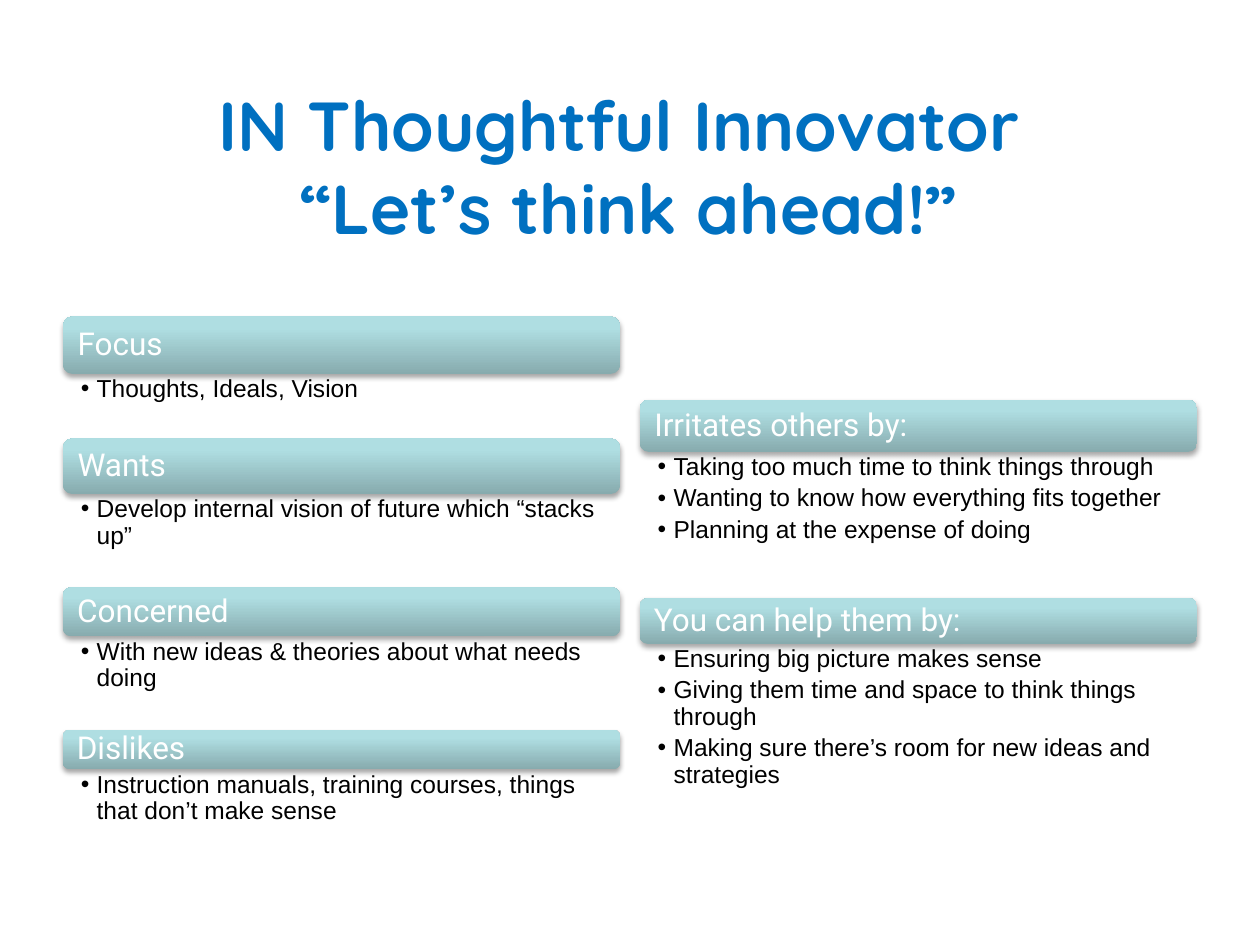
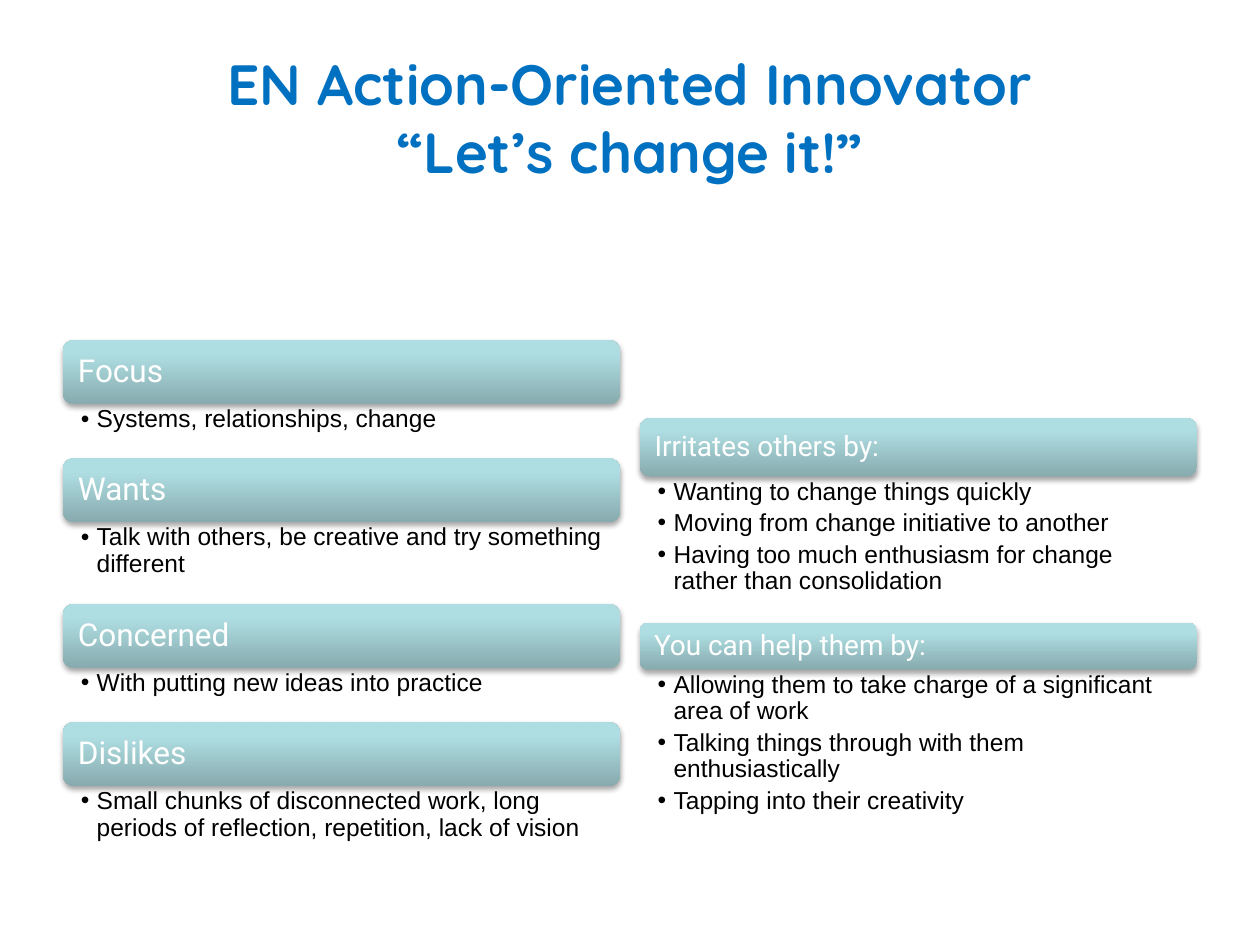
from dataclasses import dataclass
from lxml.etree import SubElement
from pptx import Presentation
from pptx.dml.color import RGBColor
from pptx.enum.shapes import MSO_SHAPE
from pptx.enum.text import MSO_ANCHOR, MSO_AUTO_SIZE, PP_ALIGN
from pptx.oxml.ns import qn
from pptx.util import Cm, Pt


@dataclass(frozen=True)
class Theme:
    blue: str = "0070C0"
    white: str = "FFFFFF"
    black: str = "000000"
    shade: tuple = ((0, "87ABAE"), (80, "AFDEE2"), (100, "AFE0E4"))
    title: str = "Quicksand"
    head: str = "Roboto"
    body: str = "Arial"
    small: float = 14


LEFT, RIGHT, WIDTH = 1.27, 12.9, 11.23
BAR = dict(margin_left=Cm(0.24), margin_right=Cm(0.24), margin_top=Cm(0.18),
           margin_bottom=Cm(0.18), vertical_anchor=MSO_ANCHOR.MIDDLE, word_wrap=True)
LIST = dict(margin_left=Cm(0.36), margin_right=Cm(0.28), margin_top=Cm(0.05),
            margin_bottom=Cm(0.05), vertical_anchor=MSO_ANCHOR.TOP, word_wrap=True)
TITLE = dict(vertical_anchor=MSO_ANCHOR.MIDDLE, word_wrap=True,
             auto_size=MSO_AUTO_SIZE.NONE)


def apply(item, form):
    for name, value in form.items():
        setattr(item, name, value)


def add(node, tag, **form):
    return SubElement(node, qn(tag), {key: str(value) for key, value in form.items()})


class Deck:
    def __init__(self, theme):
        self.theme = theme
        self.file = Presentation()
        apply(self.file, dict(slide_width=Cm(25.4), slide_height=Cm(19.05)))
        self.slide = None

    def style(self, para, face, size, tint, bold=False):
        for run in para.runs:
            apply(run.font, dict(name=face, size=Pt(size), bold=bold))
            run.font.color.rgb = RGBColor.from_string(tint)

    def title(self, text, box, size):
        self.slide = self.file.slides.add_slide(self.file.slide_layouts[5])
        shape = self.slide.shapes.title
        apply(shape, dict(zip(("left", "top", "width", "height"), map(Cm, box))))
        apply(shape.text_frame, TITLE)
        shape.text_frame.text = text
        para = shape.text_frame.paragraphs[0]
        para.alignment = PP_ALIGN.CENTER
        self.style(para, self.theme.title, size, self.theme.blue, True)

    def shade(self, shape):
        shape.fill.gradient()
        shape.fill.gradient_angle = 90
        stops = shape._element.spPr.find(qn("a:gradFill")).find(qn("a:gsLst"))
        for stop in list(stops):
            stops.remove(stop)
        for place, tint in self.theme.shade:
            add(add(stops, "a:gs", pos=place * 1000), "a:srgbClr", val=tint)
        shape.line.fill.background()
        shape.shadow.inherit = False
        glow = add(shape._element.spPr.find(qn("a:effectLst")), "a:outerShdw",
                   blurRad=Pt(3.1), dist=Pt(1.8), dir=5400000, rotWithShape=0)
        add(add(glow, "a:srgbClr", val=self.theme.black), "a:alpha", val=35000)

    def bar(self, group, text, left, top, height, size):
        shape = group.add_shape(MSO_SHAPE.ROUNDED_RECTANGLE, Cm(left), Cm(top),
                                Cm(WIDTH), Cm(height))
        self.shade(shape)
        apply(shape.text_frame, BAR)
        shape.text_frame.text = text
        para = shape.text_frame.paragraphs[0]
        apply(para, dict(alignment=PP_ALIGN.LEFT, line_spacing=0.9))
        self.style(para, self.theme.head, size, self.theme.white)

    def points(self, group, lines, left, top, height):
        frame = group.add_textbox(Cm(left), Cm(top), Cm(WIDTH), Cm(height)).text_frame
        apply(frame, LIST)
        frame.text = "\n".join(lines)
        for para in frame.paragraphs:
            apply(para, dict(level=1, line_spacing=0.9, space_after=Pt(2.8)))
            props = para._p.get_or_add_pPr()
            props.set("marL", str(Cm(0.32)))
            props.set("indent", str(-Cm(0.32)))
            add(props, "a:buFont", typeface=self.theme.body)
            add(props, "a:buChar", char="•")
            self.style(para, self.theme.body, self.theme.small, self.theme.black)

    def stack(self, left, top, size, parts):
        group = self.slide.shapes.add_group_shape().shapes
        for head, lines, tall, deep in parts:
            self.bar(group, head, left, top, tall, size)
            self.points(group, lines, left, top + tall, deep)
            top += tall + deep


def main():
    deck = Deck(Theme())

    deck.title("IN Thoughtful Innovator \v“Let’s think ahead!”",
               (1.88, 2.54, 21.59, 1.6), 39.6)
    deck.stack(LEFT, 6.38, 18, [
        ("Focus", ["Thoughts, Ideals, Vision"], 1.16, 1.3),
        ("Wants", ["Develop internal vision of future which “stacks up”"], 1.12, 1.88),
        ("Concerned", ["With new ideas & theories about what needs doing"], 0.99, 1.88),
        ("Dislikes", ["Instruction manuals, training courses, things that don’t make sense"],
         0.8, 1.88),
    ])
    deck.stack(RIGHT, 8.06, 18, [
        ("Irritates others by:", [
            "Taking too much time to think things through",
            "Wanting to know how everything fits together",
            "Planning at the expense of doing"], 1.05, 2.95),
        ("You can help them by:", [
            "Ensuring big picture makes sense",
            "Giving them time and space to think things through",
            "Making sure there’s room for new ideas and strategies"], 0.92, 2.95),
    ])

    deck.title("EN Action-Oriented Innovator\v“Let’s change it!”",
               (1.27, 0.76, 22.86, 3.18), 32.4)
    deck.stack(LEFT, 6.86, 18, [
        ("Focus", ["Systems, relationships, change"], 1.29, 1.09),
        ("Wants", ["Talk with others, be creative and try something different"], 1.29, 1.65),
        ("Concerned", ["With putting new ideas into practice"], 1.29, 1.09),
        ("Dislikes", ["Small chunks of disconnected work, long periods of reflection, "
                      "repetition, lack of vision"], 1.29, 1.14),
    ])
    deck.stack(RIGHT, 8.43, 16, [
        ("Irritates others by:", [
            "Wanting to change things quickly",
            "Moving from change initiative to another",
            "Having too much enthusiasm for change rather than consolidation"], 1.18, 2.95),
        ("You can help them by:", [
            "Allowing them to take charge of a significant area of work",
            "Talking things through with them enthusiastically",
            "Tapping into their creativity"], 0.94, 2.95),
    ])

    deck.file.save("out.pptx")


if __name__ == "__main__":
    main()
